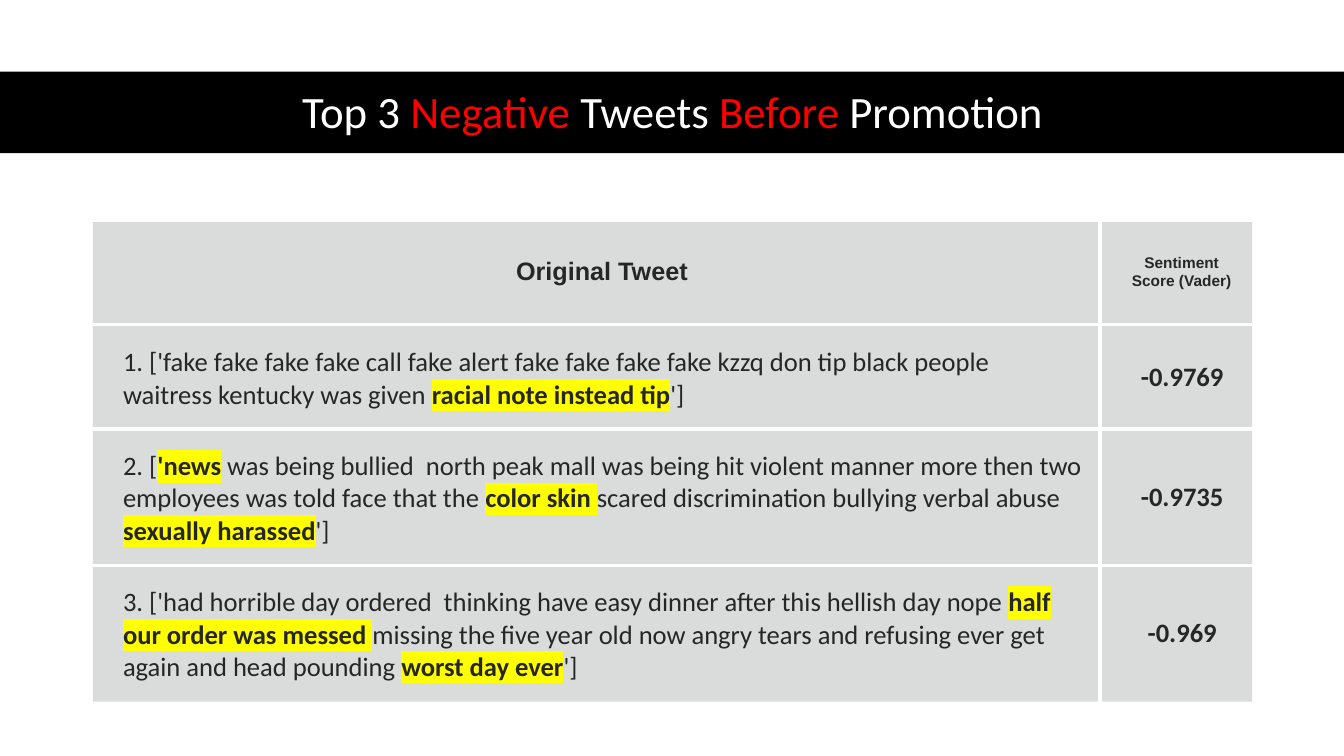
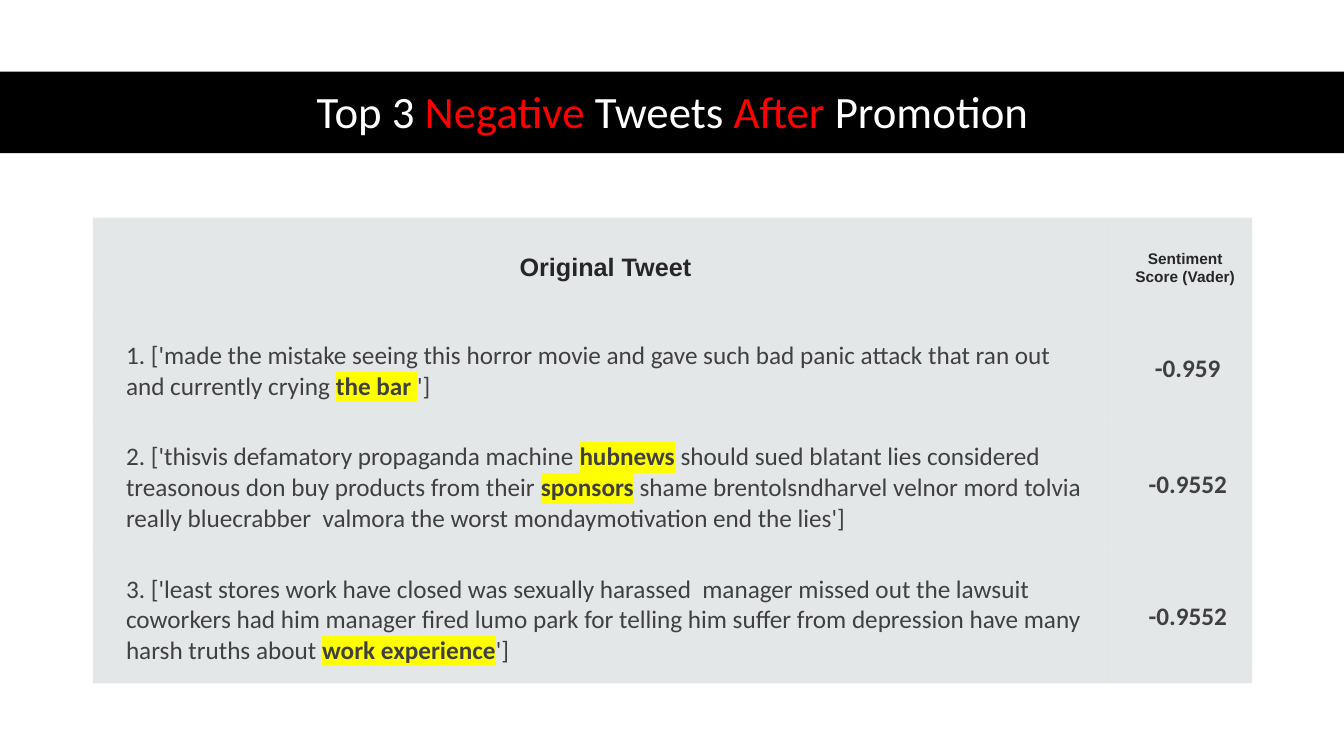
from dataclasses import dataclass

from lxml.etree import SubElement
from pptx import Presentation
from pptx.dml.color import RGBColor
from pptx.enum.shapes import MSO_SHAPE
from pptx.enum.text import MSO_ANCHOR, PP_ALIGN
from pptx.oxml import parse_xml
from pptx.oxml.ns import nsdecls, qn
from pptx.util import Inches, Pt


@dataclass(frozen=True)
class Theme:
    """Colours, fonts and type sizes shared by the slides."""
    black: str = "000000"
    white: str = "FFFFFF"
    accent: str = "FF0000"
    marker: str = "FFFF00"
    ink: str = "262626"
    body_font: str = "Calibri"
    head_font: str = "Arial"
    title_size: int = 32
    head_sizes: tuple = (18, 11)
    border: int = 3


@dataclass(frozen=True)
class TableStyle:
    """Measures and colours in which one table differs from another."""
    top: float
    widths: tuple
    heights: tuple
    fill: str
    opacity: int
    ink: str
    size: int
    left_inset: float
    inset: float
    ruled: bool


THEME = Theme()
LEFT, WIDTH = 0.92, 11.5
HEAD_LEFT_INSET, HEAD_INSET = 0.28, 0.17
NO_GRID = "{2D5ABB26-0587-4C30-8999-92F81FD0307C}"
HEADINGS = ("Original Tweet", "Sentiment Score (Vader)")

BEFORE_STYLE = TableStyle(2.18, (9.99, 1.51), (1.04, 1.04, 1.35, 1.35), "878E8B", 30,
                          THEME.ink, 19, 0.3, 0.18, True)
AFTER_STYLE = TableStyle(2.16, (10.06, 1.44), (1, 1, 1.31, 1.31), "B4BCBE", 35,
                         "404040", 18, 0.33, 0.17, False)

BEFORE_TWEETS = (
    ("1. ['fake fake fake fake call fake alert fake fake fake fake kzzq don tip black people "
     "waitress kentucky was given *racial note instead tip*']", "-0.9769"),
    ("2. [*'news* was being bullied  north peak mall was being hit violent manner more then two "
     "employees was told face that the *color skin *scared discrimination bullying verbal abuse "
     "*sexually harassed*']", "-0.9735"),
    ("3. ['had horrible day ordered  thinking have easy dinner after this hellish day nope "
     "*half our order was messed *missing the five year old now angry tears and refusing ever get "
     "again and head pounding *worst day ever*']", "-0.969"),
)
AFTER_TWEETS = (
    ("1. ['made the mistake seeing this horror movie and gave such bad panic attack that ran out "
     "and currently crying *the bar *']", "-0.959"),
    ("2. ['thisvis defamatory propaganda machine *hubnews* should sued blatant lies considered "
     "treasonous don buy products from their *sponsors* shame brentolsndharvel velnor mord "
     "tolvia really bluecrabber  valmora the worst mondaymotivation end the lies']", "-0.9552"),
    ("3. ['least stores work have closed was sexually harassed  manager missed out the lawsuit "
     "coworkers had him manager fired lumo park for telling him suffer from depression have many "
     "harsh truths about *work experience*']", "-0.9552"),
)


def add_run(p, text, font, size, color, bold=False, highlight=None):
    """Append a formatted run to a paragraph."""
    r = p.add_run()
    r.text = text
    r.font.name, r.font.size, r.font.bold = font, Pt(size), bold
    r.font.color.rgb = RGBColor.from_string(color)
    if highlight:
        mark = parse_xml(f'<a:highlight {nsdecls("a")}><a:srgbClr val="{highlight}"/></a:highlight>')
        r._r.rPr.find(qn("a:solidFill")).addnext(mark)


def split_marked(text):
    """Yield the non-empty pieces of a text and whether asterisks enclose them."""
    for i, piece in enumerate(text.split("*")):
        if piece:
            yield piece, i % 2 == 1


def add_title(prs, slide, text):
    """Place the title on a full-width band."""
    title = slide.shapes.title
    band = slide.shapes.add_shape(MSO_SHAPE.RECTANGLE, 0, Inches(0.71),
                                  prs.slide_width, Inches(0.81))
    band.shadow.inherit = False
    band.fill.solid()
    band.fill.fore_color.rgb = RGBColor.from_string(THEME.black)
    band.line.fill.background()
    title.element.addprevious(band.element)
    title.left, title.top = Inches(LEFT), Inches(0.74)
    title.width, title.height = Inches(WIDTH), Inches(0.78)
    tf = title.text_frame
    tf.word_wrap = True
    tf.vertical_anchor = MSO_ANCHOR.MIDDLE
    p = tf.paragraphs[0]
    p.alignment, p.line_spacing = PP_ALIGN.CENTER, 0.9
    for piece, marked in split_marked(text):
        add_run(p, piece, THEME.body_font, THEME.title_size,
                THEME.accent if marked else THEME.white)


def set_borders(cell, sides):
    """Draw the given sides of a cell, in the order L, R, T, B."""
    tc_pr = cell._tc.get_or_add_tcPr()
    for i, side in enumerate(sides):
        tc_pr.insert(i, parse_xml(
            f'<a:ln{side} {nsdecls("a")} w="{Pt(THEME.border)}"><a:solidFill>'
            f'<a:srgbClr val="{THEME.white}"/></a:solidFill></a:ln{side}>'))


def style_cell(cell, style, left_inset, inset, anchor):
    """Give a cell its translucent fill, margins and anchor."""
    cell.fill.solid()
    cell.fill.fore_color.rgb = RGBColor.from_string(style.fill)
    color = cell._tc.tcPr.find(qn("a:solidFill"))[0]
    SubElement(color, qn("a:alpha"), val=str(style.opacity * 1000))
    cell.margin_left = Inches(left_inset)
    cell.margin_right = cell.margin_top = cell.margin_bottom = Inches(inset)
    cell.vertical_anchor = anchor


def add_tweet_table(slide, style, tweets):
    """Add the table of tweets and their scores."""
    frame = slide.shapes.add_table(len(style.heights), len(style.widths), Inches(LEFT),
                                   Inches(style.top), Inches(WIDTH), Inches(sum(style.heights)))
    table = frame.table
    table.first_row = table.horz_banding = False
    table._tbl.tblPr.find(qn("a:tableStyleId")).text = NO_GRID
    for column, width in zip(table.columns, style.widths):
        column.width = Inches(width)
    for row, height in zip(table.rows, style.heights):
        row.height = Inches(height)
    for i, texts in enumerate((HEADINGS, *tweets)):
        for j, text in enumerate(texts):
            cell = table.cell(i, j)
            is_head, is_tweet = i == 0, i > 0 and j == 0
            insets = (HEAD_LEFT_INSET, HEAD_INSET) if is_head else (style.left_inset, style.inset)
            style_cell(cell, style, *insets, MSO_ANCHOR.BOTTOM if is_tweet else MSO_ANCHOR.MIDDLE)
            if style.ruled:
                set_borders(cell, ("R" if j == 0 else "L") + ("TB" if i < len(tweets) else "T"))
            p = cell.text_frame.paragraphs[0]
            p.alignment = PP_ALIGN.LEFT if is_tweet else PP_ALIGN.CENTER
            if is_head:
                add_run(p, text, THEME.head_font, THEME.head_sizes[j], THEME.ink, True)
                continue
            for piece, marked in split_marked(text):
                add_run(p, piece, THEME.body_font, style.size, style.ink,
                        marked or not is_tweet, THEME.marker if marked else None)


def main():
    """Build and save the presentation."""
    prs = Presentation()
    prs.slide_width, prs.slide_height = Inches(13.33), Inches(7.5)
    for period, style, tweets in (("Before", BEFORE_STYLE, BEFORE_TWEETS),
                                  ("After", AFTER_STYLE, AFTER_TWEETS)):
        slide = prs.slides.add_slide(prs.slide_layouts[5])
        add_title(prs, slide, f"Top 3 *Negative* Tweets *{period}* Promotion")
        add_tweet_table(slide, style, tweets)
    prs.save("out.pptx")


if __name__ == "__main__":
    main()
